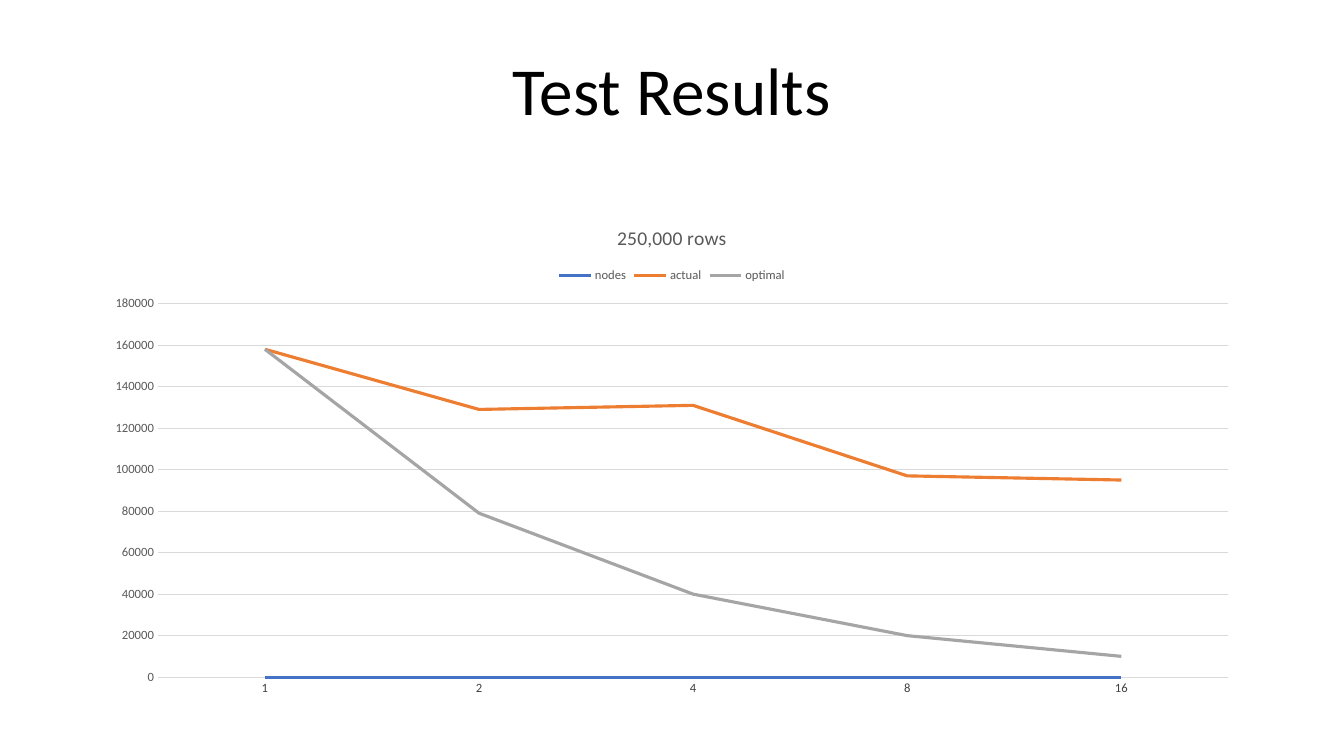
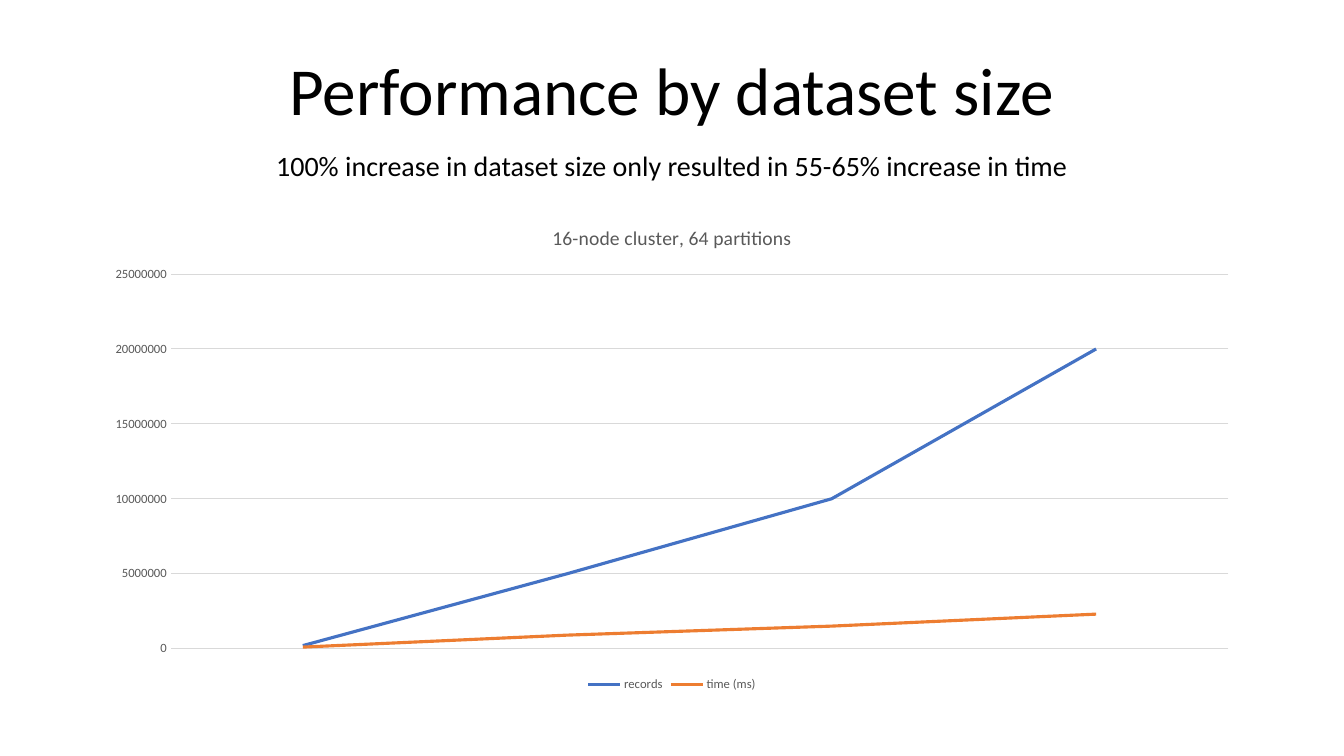
from lxml import etree
from pptx import Presentation
from pptx import util as u
from pptx.chart import data as chart_data
from pptx.dml import color
from pptx.enum import chart as charts
from pptx.enum import text
from pptx.oxml import ns

COLORS = {
    "text": "000000", "muted": "595959", "label": "404040", "grid": "D9D9D9",
    "blue": "4472C4", "orange": "ED7D31", "gray": "A5A5A5",
}
SERIES_COLORS = ("blue", "orange", "gray")
FONT = "Calibri"
LEFT, WIDTH = 66, 828
TITLE_ONLY, TITLE_AND_BODY = 5, 1


class ResultsDeck:
    """Holds the shared style and the slide being built."""

    def __init__(self):
        self.deck = Presentation()
        self.deck.slide_width, self.deck.slide_height = u.Pt(960), u.Pt(540)
        self.page = None

    def add_page(self, title, layout):
        self.page = self.deck.slides.add_slide(self.deck.slide_layouts[layout])
        self.fill_placeholder(self.page.shapes.title, title, 23, 73.5, 48,
                              text.MSO_ANCHOR.BOTTOM)

    def add_subtitle(self, words):
        body = self.page.placeholders[1]
        paragraph = self.fill_placeholder(body, words, 105, 33, 20, text.MSO_ANCHOR.TOP)
        paragraph.space_before = u.Pt(10)
        # No bullet and no hanging indent
        properties = paragraph._p.get_or_add_pPr()
        properties.set("marL", "0")
        properties.set("indent", "0")
        etree.SubElement(properties, ns.qn("a:buNone"))

    def add_line_chart(self, title, series, top_value, step, legend_position):
        data = chart_data.CategoryChartData()
        longest = max(len(values) for values in series.values())
        data.categories = [str(number + 1) for number in range(longest)]
        for name, values in series.items():
            data.add_series(name, values)
        frame = self.page.shapes.add_chart(
            charts.XL_CHART_TYPE.LINE, u.Pt(LEFT), u.Pt(147), u.Pt(WIDTH), u.Pt(350), data)
        chart = frame.chart
        self.set_font(chart.font, 10, "text")

        # Title and legend
        chart.has_title = True
        chart.chart_title.include_in_layout = False
        paragraph = chart.chart_title.text_frame.paragraphs[0]
        paragraph.text = title
        self.set_font(paragraph.font, 14, "muted")
        chart.has_legend = True
        chart.legend.position = legend_position
        chart.legend.include_in_layout = False
        self.set_font(chart.legend.font, 9, "muted")

        # Axes
        chart.category_axis.visible = False
        axis = chart.value_axis
        axis.minimum_scale, axis.maximum_scale, axis.major_unit = 0, top_value, step
        axis.major_tick_mark = axis.minor_tick_mark = charts.XL_TICK_MARK.NONE
        axis.format.line.fill.background()
        self.set_font(axis.tick_labels.font, 9, "muted")
        self.set_line(axis.major_gridlines.format.line, 0.75, "grid")

        # Lines
        plot = chart.plots[0]
        plot.vary_by_categories = False
        for line, shade in zip(plot.series, SERIES_COLORS):
            line.smooth = False
            line.marker.style = charts.XL_MARKER_STYLE.NONE
            self.set_line(line.format.line, 2.25, shade)
        return chart

    def label_series(self, chart, index):
        labels = chart.plots[0].series[index].data_labels
        labels.show_value = True
        labels.position = charts.XL_LABEL_POSITION.BELOW
        self.set_font(labels.font, 9, "label")

    def fill_placeholder(self, box, words, top, height, size, anchor):
        box.left, box.top = u.Pt(LEFT), u.Pt(top)
        box.width, box.height = u.Pt(WIDTH), u.Pt(height)
        frame = box.text_frame
        frame.word_wrap = True
        frame.auto_size = text.MSO_AUTO_SIZE.NONE
        frame.vertical_anchor = anchor
        paragraph = frame.paragraphs[0]
        paragraph.text = words
        paragraph.alignment = text.PP_ALIGN.CENTER
        paragraph.line_spacing = 0.9
        self.set_font(paragraph.font, size, "text")
        return paragraph

    def set_font(self, font, size, shade):
        font.name, font.size, font.bold = FONT, u.Pt(size), False
        font.color.rgb = color.RGBColor.from_string(COLORS[shade])

    def set_line(self, line, width, shade):
        line.width = u.Pt(width)
        line.color.rgb = color.RGBColor.from_string(COLORS[shade])


def main():
    results = ResultsDeck()

    # Run time by number of nodes
    results.add_page("Test Results", TITLE_ONLY)
    chart = results.add_line_chart(
        "250,000 rows",
        {
            "nodes": (1, 2, 4, 8, 16),
            "actual": (158000, 129000, 131000, 97000, 95000),
            "optimal": (158000, 79000, 40000, 20000, 10000),
        },
        180000, 20000, charts.XL_LEGEND_POSITION.TOP)
    results.label_series(chart, 0)

    # Run time by number of records
    results.add_page("Performance by dataset size", TITLE_AND_BODY)
    results.add_subtitle(
        "100% increase in dataset size only resulted in 55-65% increase in time")
    results.add_line_chart(
        "16-node cluster, 64 partitions",
        {
            "records": (200000, 5000000, 10000000, 20000000),
            "time (ms)": (100000, 900000, 1500000, 2300000),
        },
        25000000, 5000000, charts.XL_LEGEND_POSITION.BOTTOM)

    results.deck.save("out.pptx")


if __name__ == "__main__":
    main()
